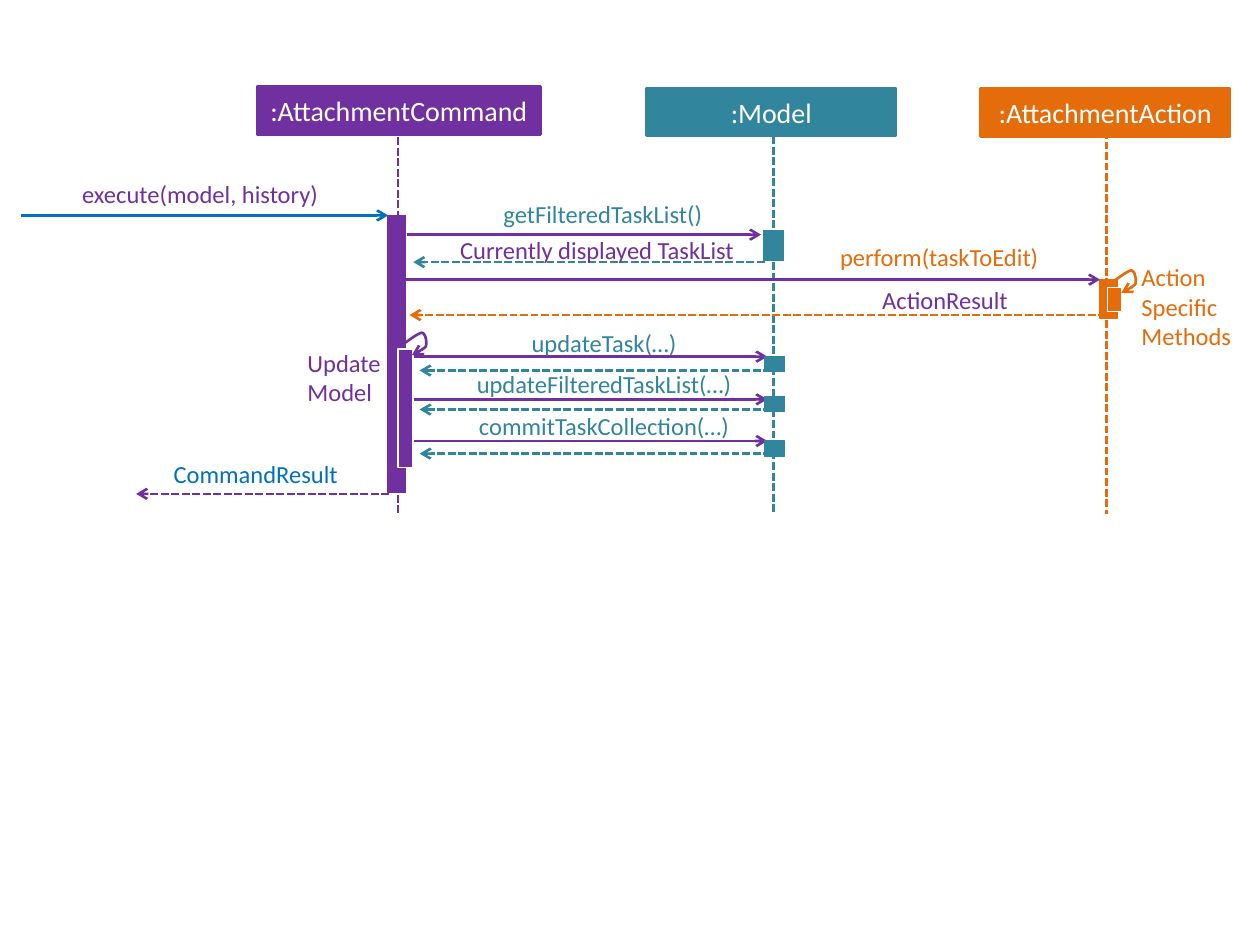
from pptx import Presentation, util as u
from pptx.dml.color import RGBColor
from pptx.enum import dml, shapes, text
from pptx.oxml.ns import qn
from lxml import etree

Pt = u.Pt
PURPLE = RGBColor(0x70, 0x30, 0xA0)
TEAL = RGBColor(0x31, 0x85, 0x9C)
ORANGE = RGBColor(0xE4, 0x6C, 0x0A)
BLUE = RGBColor(0x00, 0x70, 0xC0)
WHITE = RGBColor(0xFF, 0xFF, 0xFF)
CENTER, LEFT = text.PP_ALIGN.CENTER, text.PP_ALIGN.LEFT
LABEL_FORMAT = {"margin_left": 0, "margin_right": 0, "margin_top": 0,
                "margin_bottom": 0, "word_wrap": True}
HEADER_FORMAT = {"vertical_anchor": text.MSO_ANCHOR.MIDDLE, "word_wrap": False}

deck = Presentation()
deck.slide_width, deck.slide_height = Pt(720), Pt(540)
page = deck.slides.add_slide(deck.slide_layouts[6])


def style_line(shape, color, dashed=False, arrow_end=None):
    shape.line.color.rgb = color
    shape.line.width = Pt(1.5)
    if dashed:
        shape.line.dash_style = dml.MSO_LINE.SQUARE_DOT
    if arrow_end:
        outline = shape.line._get_or_add_ln()
        etree.SubElement(outline, qn(arrow_end), type="arrow")
    etree.SubElement(shape._element.spPr, qn("a:effectLst"))


def write(box, words, size, color, align, frame_format):
    for name, value in frame_format.items():
        setattr(box.text_frame, name, value)
    para = box.text_frame.paragraphs[0]
    para.alignment = align
    span = para.add_run()
    span.text = words
    for name, value in {"name": "Calibri", "size": Pt(size)}.items():
        setattr(span.font, name, value)
    span.font.color.rgb = color


# Participants: name, colour, box left, top, width, lifeline x, lifeline top
for name, color, left, top, width, line_x, line_top in [
    (":AttachmentCommand", PURPLE, 146.9, 49.5, 162, 227.5, 78.5),
    (":Model", TEAL, 369.4, 50.2, 142.6, 442.1, 77.8),
    (":AttachmentAction", ORANGE, 560.2, 50.7, 142.6, 632.2, 74.9),
]:
    header = page.shapes.add_shape(shapes.MSO_SHAPE.RECTANGLE,
                                   Pt(left), Pt(top), Pt(width), Pt(27.4))
    header.fill.solid()
    header.fill.fore_color.rgb = color
    style_line(header, color)
    write(header, name, 16, WHITE, CENTER, HEADER_FORMAT)
    lifeline = page.shapes.add_connector(
        shapes.MSO_CONNECTOR.STRAIGHT, Pt(line_x), Pt(line_top), Pt(line_x), Pt(293.8))
    style_line(lifeline, color, dashed=True)

# Messages: from x, to x, y, colour; replies run leftwards and are dashed
messages = [
    (12.2, 221.8, 123.1, BLUE),
    (222.5, 77.8, 282.2, PURPLE),
    (232.6, 434.9, 134.1, PURPLE),
    (437, 236.2, 149.8, TEAL),
    (231.8, 628.6, 159.8, PURPLE),
    (632.2, 234, 180, ORANGE),
]
for call_y, reply_y in [(203.8, 211.7), (228.2, 234), (252, 259.2)]:
    messages += [(236.2, 438.5, call_y, PURPLE), (440.6, 239.8, reply_y, TEAL)]
for start, end, y, color in messages:
    message = page.shapes.add_connector(
        shapes.MSO_CONNECTOR.STRAIGHT, Pt(start), Pt(y), Pt(end), Pt(y))
    style_line(message, color, dashed=end < start, arrow_end="a:tailEnd")

# Activation bars; the nested ones have a white edge
bars = [
    (221.8, 123.1, 10.1, 158.4, PURPLE, PURPLE),
    (436.3, 131.8, 11.5, 17.3, TEAL, TEAL),
    (628.6, 159.8, 10.1, 22.3, ORANGE, ORANGE),
    (227.5, 199.4, 8.6, 67.7, PURPLE, WHITE),
    (632.9, 164.2, 7.9, 13.7, ORANGE, WHITE),
]
bars += [(437, top, 11.5, 8.6, TEAL, TEAL) for top in (203.8, 226.4, 252)]
for left, top, width, height, color, edge in bars:
    bar = page.shapes.add_shape(shapes.MSO_SHAPE.RECTANGLE,
                                Pt(left), Pt(top), Pt(width), Pt(height))
    bar.shadow.inherit = False
    bar.fill.solid()
    bar.fill.fore_color.rgb = color
    bar.line.color.rgb = edge
    bar.line.width = Pt(0.75)

# Self-calls: three cubic curves, sampled in short steps
LOOP = [(235.4, 203), (239, 201.6), (241.9, 199.4), (243.4, 198), (244.1, 195.8),
        (243.4, 190.8), (241.2, 190.1), (239.8, 190.1), (235.4, 193), (231.8, 195.8)]
STEPS = 6
for shift_x, shift_y, color in [(0, 0, PURPLE), (405.4, -35.6, ORANGE)]:
    points = [LOOP[0]]
    for first in (0, 3, 6):
        for step in range(1, STEPS + 1):
            t = step / STEPS
            weights = ((1 - t) ** 3, 3 * t * (1 - t) ** 2, 3 * t ** 2 * (1 - t), t ** 3)
            controls = LOOP[first:first + 4]
            points.append(tuple(sum(w * point[axis] for w, point in zip(weights, controls))
                                for axis in (0, 1)))
    points = [(Pt(x + shift_x), Pt(y + shift_y)) for x, y in points]
    builder = page.shapes.build_freeform(*points[0])
    builder.add_line_segments(points[1:], close=False)
    self_call = builder.convert_to_shape()
    self_call.fill.background()
    style_line(self_call, color, arrow_end="a:headEnd")

# Labels: words, left, top, width, height, colour, alignment
for words, left, top, width, height, color, align in [
    ("execute(model, history)", 12.2, 102.2, 204.5, 17, PURPLE, CENTER),
    ("getFilteredTaskList()", 248.4, 113.8, 192.2, 17, TEAL, CENTER),
    ("Currently displayed TaskList", 239, 134.6, 204.5, 17, PURPLE, CENTER),
    ("perform(taskToEdit)", 450.7, 138.2, 172.1, 17, ORANGE, CENTER),
    ("ActionResult", 437.8, 162.7, 204.5, 17, PURPLE, CENTER),
    ("Action Specific Methods", 652.3, 149.8, 57.6, 51, ORANGE, LEFT),
    ("Update Model", 175.7, 198.7, 53.3, 34, PURPLE, LEFT),
    ("updateTask(…)", 249.1, 187.2, 192.2, 17, TEAL, CENTER),
    ("updateFilteredTaskList(…)", 249.1, 211, 192.2, 17, TEAL, CENTER),
    ("commitTaskCollection(…)", 249.1, 234.7, 192.2, 17, TEAL, CENTER),
    ("CommandResult", 43.9, 262.1, 204.5, 17, BLUE, CENTER),
]:
    label = page.shapes.add_textbox(Pt(left), Pt(top), Pt(width), Pt(height))
    write(label, words, 14, color, align, LABEL_FORMAT)

deck.save("out.pptx")
